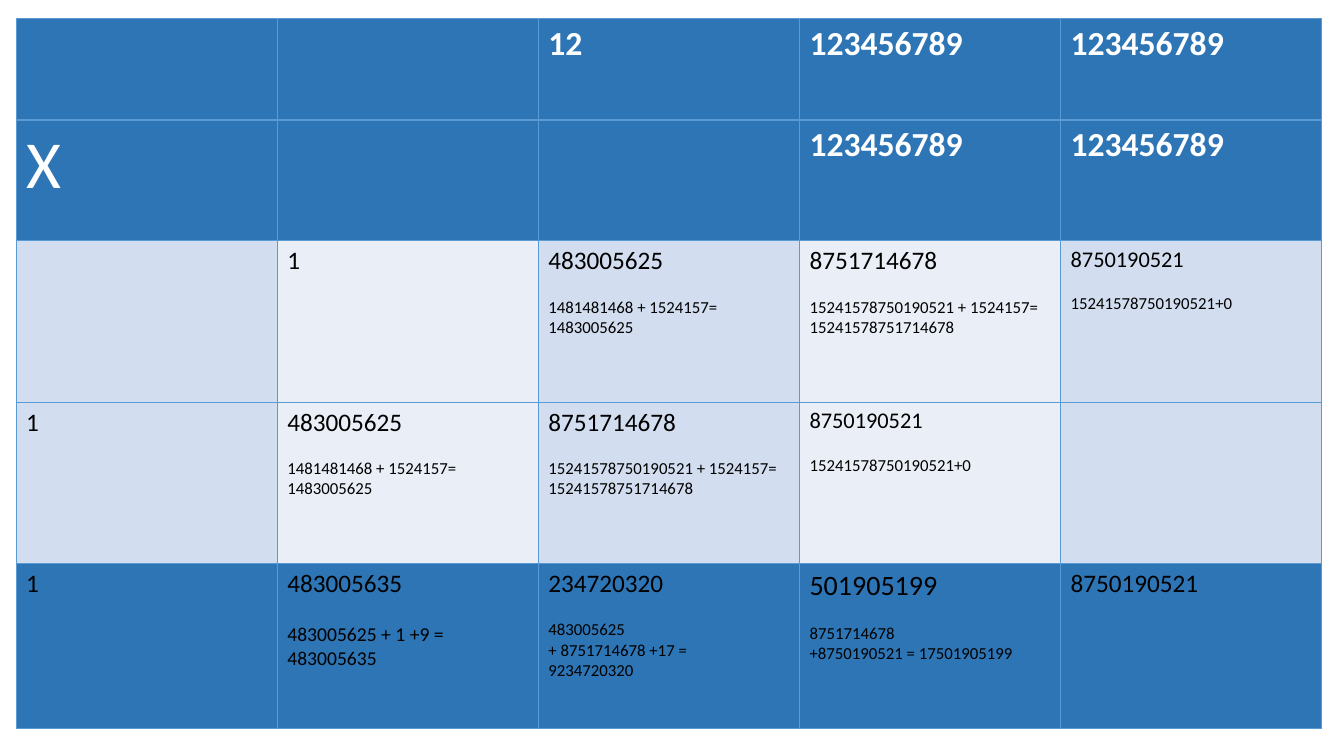
from lxml import etree
from pptx import Presentation
from pptx.dml.color import RGBColor
from pptx.oxml.ns import qn
from pptx.util import Inches, Pt

COLORS = {
    "strong": "2E75B6",
    "band": "D2DEEF",
    "pale": "EAEFF7",
    "border": "5B9BD5",
    "header_text": "FFFFFF",
    "text": "000000",
}
LINE_HEIGHT = 1.22
COLUMN_WIDTH = 2.59
ROW_HEIGHTS = [1.01, 1.2, 1.6, 1.6, 1.64]

# Each cell: result, its size, working lines, their size
EMPTY = ("", 18, [], 12)
CARRY = ("1", 18, [], 12)
FACTOR = ("123456789", 24, [], 12)
PARTIAL_PRODUCTS = [
    CARRY,
    ("483005625", 18, ["1481481468 + 1524157=", "1483005625"], 12),
    ("8751714678", 18, ["15241578750190521 + 1524157=", "15241578751714678"], 12),
    ("8750190521", 16, ["15241578750190521+0"], 12),
]
ROWS = [
    [EMPTY, EMPTY, ("12", 24, [], 12), FACTOR, FACTOR],
    [("X", 48, [], 12), EMPTY, EMPTY, FACTOR, FACTOR],
    [EMPTY] + PARTIAL_PRODUCTS,
    PARTIAL_PRODUCTS + [EMPTY],
    [
        CARRY,
        ("483005635", 18, ["483005625 + 1 +9 = 483005635"], 14),
        ("234720320", 18, ["483005625", "+ 8751714678 +17 =", "9234720320"], 12),
        ("501905199", 20, ["8751714678", "+8750190521 = 17501905199"], 12),
        ("8750190521", 18, [], 12),
    ],
]


def add_borders(cell):
    properties = cell._tc.get_or_add_tcPr()
    for position, side in enumerate(["a:lnL", "a:lnR", "a:lnT", "a:lnB"]):
        line = etree.Element(qn(side), w=str(Pt(1)))
        fill = etree.SubElement(line, qn("a:solidFill"))
        etree.SubElement(fill, qn("a:srgbClr"), val=COLORS["border"])
        properties.insert(position, line)


def format_text(para, size, color, bold=False):
    for span in para.runs:
        span.font.name = "Calibri"
        span.font.size = Pt(size)
        span.font.bold = bold
        span.font.color.rgb = RGBColor.from_string(color)


deck = Presentation()
deck.slide_width = Inches(13.33)
deck.slide_height = Inches(7.5)
page = deck.slides.add_slide(deck.slide_layouts[6])

table = page.shapes.add_table(
    len(ROWS), len(ROWS[0]), Inches(0.16), Inches(0.18),
    Inches(COLUMN_WIDTH * len(ROWS[0])), Inches(sum(ROW_HEIGHTS)),
).table
for column in table.columns:
    column.width = Inches(COLUMN_WIDTH)
for row, height in zip(table.rows, ROW_HEIGHTS):
    row.height = Inches(height)

for row_index, row_cells in enumerate(ROWS):
    is_header = row_index < 2
    is_total = row_index == len(ROWS) - 1
    text_color = COLORS["header_text" if is_header else "text"]
    for column_index, (result, size, working, working_size) in enumerate(row_cells):
        cell = table.cell(row_index, column_index)
        if is_header or is_total:
            fill_name = "strong"
        else:
            fill_name = "pale" if column_index % 2 else "band"
        cell.fill.solid()
        cell.fill.fore_color.rgb = RGBColor.from_string(COLORS[fill_name])
        add_borders(cell)

        para = cell.text_frame.paragraphs[0]
        para.text = result
        format_text(para, size, text_color, bold=is_header and result != "X")
        for line_index, line_text in enumerate(working):
            para = cell.text_frame.add_paragraph()
            para.text = line_text
            format_text(para, working_size, text_color)
            if line_index == 0:
                para.space_before = Pt(working_size * LINE_HEIGHT)

deck.save("out.pptx")
